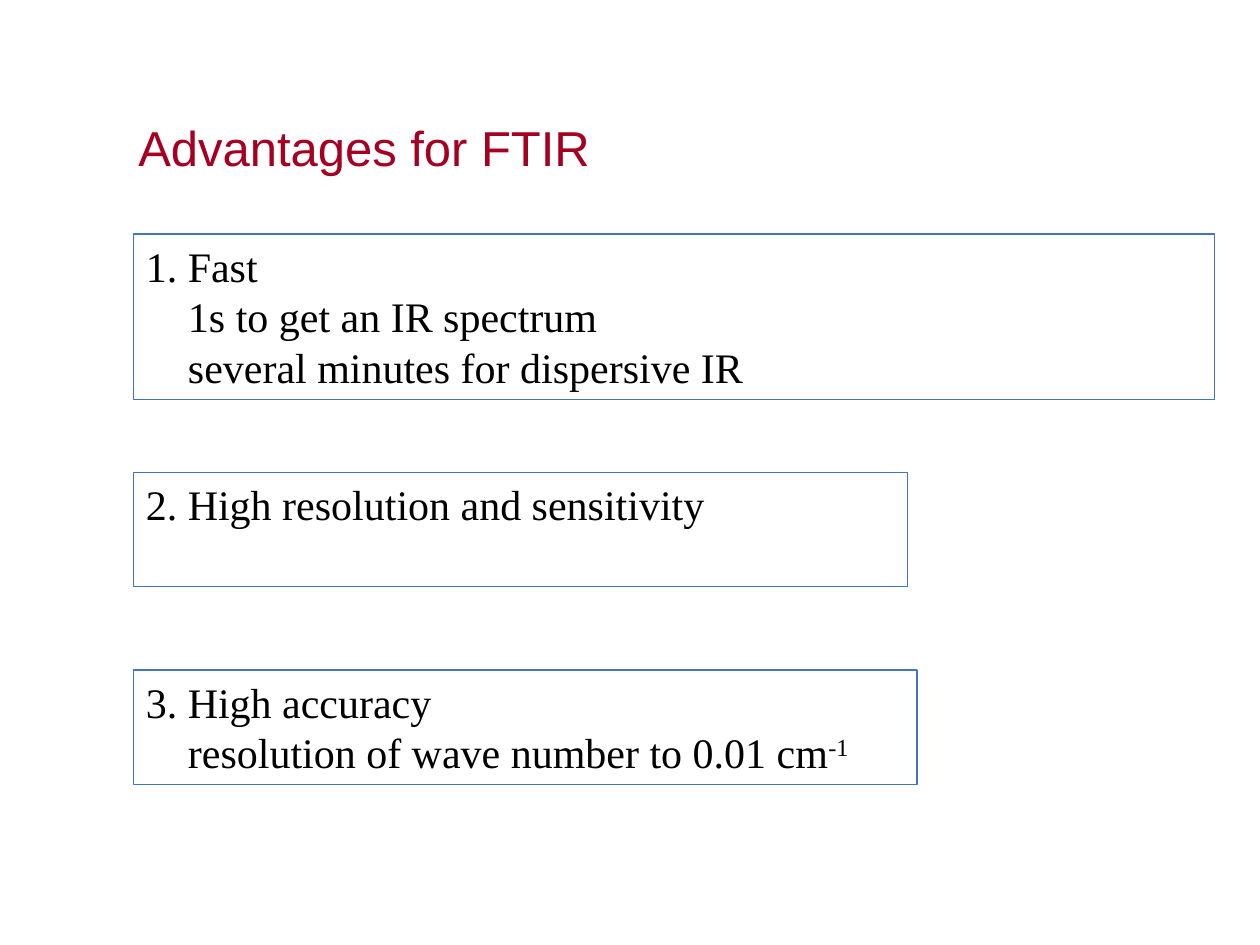
"""Build the slide on the advantages of FTIR."""
from pptx import Presentation
from pptx.dml.color import RGBColor
from pptx.enum.shapes import MSO_SHAPE as Shape
from pptx.enum.text import MSO_ANCHOR as Anchor, PP_ALIGN as Align
from pptx.util import Cm, Pt

RED = RGBColor(0xA5, 0x00, 0x21)
BLUE = RGBColor(0x44, 0x72, 0xC4)
BLACK = RGBColor(0, 0, 0)

TITLE = "Advantages for FTIR"
POINTS = [
    {"top": 4.72, "width": 21.79, "height": 3.33, "head": "1. Fast",
     "notes": [("1s to get an IR spectrum", ""),
               ("several minutes for dispersive IR", "")]},
    {"top": 9.52, "width": 15.6, "height": 2.31,
     "head": "2. High resolution and sensitivity", "notes": []},
    {"top": 13.51, "width": 15.8, "height": 2.31, "head": "3. High accuracy",
     "notes": [("resolution of wave number to 0.01 cm", "-1")]},
]
LEFT, INDENT = 2.69, 0.85
HEAD = {"name": "Arial", "size": Pt(28)}
BODY = {"name": "Times New Roman", "size": Pt(24)}


def add_run(para, text, form, color, base=0):
    run = para.add_run()
    run.text = text
    for key, value in form.items():
        setattr(run.font, key, value)
    run.font.color.rgb = color
    if base:
        run.font._element.set("baseline", str(base * 1000))


def add_point(slide, point):
    size = [Cm(point[key]) for key in ("top", "width", "height")]
    box = slide.shapes.add_shape(Shape.RECTANGLE, Cm(LEFT), *size)
    box.shadow.inherit = False
    box.fill.background()
    box.line.color.rgb = BLUE
    box.line.width = Pt(0.75)
    frame = box.text_frame
    frame.word_wrap = True
    frame.vertical_anchor = Anchor.TOP
    para = frame.paragraphs[0]
    para.alignment = Align.LEFT
    add_run(para, point["head"], BODY, BLACK)
    for text, power in point["notes"]:
        para = frame.add_paragraph()
        para.alignment = Align.LEFT
        para._p.get_or_add_pPr().set("marL", str(Cm(INDENT)))
        add_run(para, text, BODY, BLACK)
        if power:
            add_run(para, power, BODY, BLACK, 30)


def main():
    deck = Presentation()
    deck.slide_width, deck.slide_height = Cm(25.4), Cm(19.05)
    slide = deck.slides.add_slide(deck.slide_layouts[6])
    title = slide.shapes.add_textbox(Cm(2.54), Cm(2.24), Cm(10.29), Cm(1.45))
    title.text_frame.word_wrap = False
    add_run(title.text_frame.paragraphs[0], TITLE, HEAD, RED)
    for point in POINTS:
        add_point(slide, point)
    deck.save("out.pptx")


if __name__ == "__main__":
    main()
